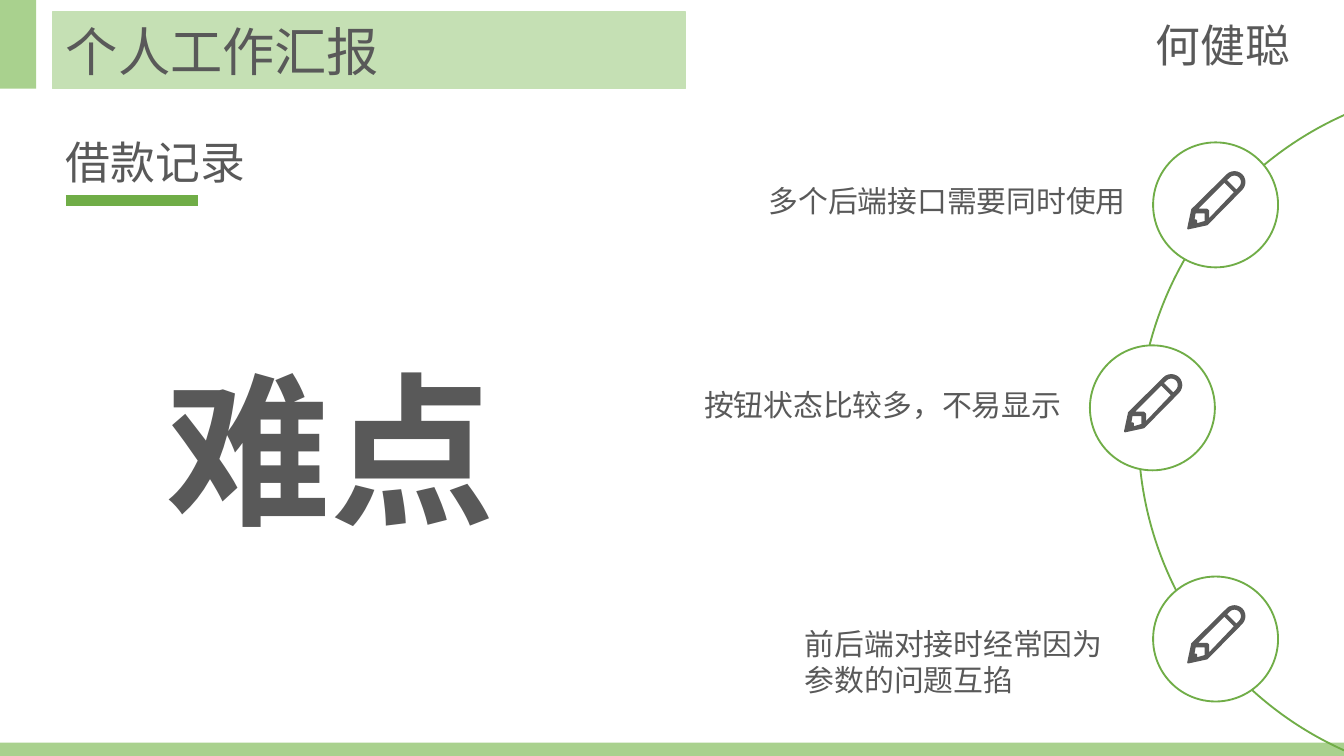
from math import cos, radians, sin

from lxml.etree import SubElement
from pptx import Presentation
from pptx.dml.color import RGBColor
from pptx.enum.lang import MSO_LANGUAGE_ID as Language
from pptx.enum.shapes import MSO_CONNECTOR as Connector, MSO_SHAPE as Shape
from pptx.enum.text import MSO_ANCHOR as Anchor, MSO_AUTO_SIZE as AutoSize, PP_ALIGN as Align
from pptx.oxml.ns import qn
from pptx.util import Inches, Pt

WIDTH = 10
HEIGHT = WIDTH * 9 / 16
GREEN = RGBColor(0x70, 0xAD, 0x47)
MID_GREEN = RGBColor(0xA9, 0xD1, 0x8E)
PALE_GREEN = RGBColor(0xC5, 0xE0, 0xB4)
WHITE = RGBColor(0xFF, 0xFF, 0xFF)
GREY = RGBColor(0x59, 0x59, 0x59)

TITLE = "个人工作汇报"
LABELS = [
    ("借款记录", (0.39, 0.95, 7.73, 0.5), dict(size=24, font="Arial")),
    ("何健聪", (8.5, 0.08, 1.21, 0.5), dict(size=24, font="Arial")),
    ("难点", (1.14, 1.81, 4.1, 2.1), dict(size=88, bold=True, spacing=1.5)),
]
DIFFICULTIES = [
    ("多个后端接口需要同时使用", (5.62, 1.31, 2.95, 0.37), (8.58, 1.06)),
    ("按钮状态比较多，不易显示", (5.14, 2.83, 2.98, 0.37), (8.11, 2.57)),
    ("前后端对接时经常因为参数的问题互掐", (5.89, 4.61, 2.61, 0.64), (8.58, 4.29)),
]
BANDS = [(0, 0, 0.27, 0.66), (0, HEIGHT - 0.1, WIDTH, 0.1)]
ARC = (8.47, 0.63, 5.18, 5.18)
NODE_SIZE = 0.93
PENCIL_OFFSET = (0.26, 0.22)


def cap(radius):
    """Return the round end of the pencil in thousandths of an inch."""
    angles = [radians(angle) for angle in range(225, 406, 15)]
    return [(345 + radius * cos(a), 75 + radius * sin(a)) for a in angles]


PENCIL = [
    [(30, 280), (0, 420), (140, 390), *reversed(cap(75))],
    [(360, 140), (280, 60), *cap(55)],
    [(150, 360), (150, 290), (140, 280), (60, 280), (270, 70), (350, 150)],
    [(130, 370), (60, 390), (60, 360), (40, 360), (50, 300), (130, 300)],
]


def box(bounds):
    """Convert bounds in inches to lengths."""
    return [Inches(value) for value in bounds]


def style(shape, fill=None, line=None, width=1):
    """Set fill and outline, and drop the shadow."""
    shape.shadow.inherit = False
    if fill is None:
        shape.fill.background()
    else:
        shape.fill.solid()
        shape.fill.fore_color.rgb = fill
    if line is None:
        shape.line.fill.background()
    else:
        shape.line.color.rgb = line
        shape.line.width = Pt(width)


def write(shape, text, size=16, font="Calibri", bold=False, spacing=None, anchor=Anchor.TOP):
    """Write one formatted paragraph into a shape."""
    frame = shape.text_frame
    frame.word_wrap = True
    frame.auto_size = AutoSize.NONE
    frame.vertical_anchor = anchor
    paragraph = frame.paragraphs[0]
    paragraph.alignment = Align.LEFT
    if spacing:
        paragraph.line_spacing = spacing
    run = paragraph.add_run()
    run.text = text
    run.font.size = Pt(size)
    run.font.name = font
    run.font.bold = bold
    run.font.color.rgb = GREY
    run.font.language_id = Language.SIMPLIFIED_CHINESE


def add_node(slide, left, top):
    """Draw a circle with a pencil inside as one group."""
    shapes = slide.shapes.add_group_shape().shapes
    circle = shapes.add_shape(Shape.OVAL, *box((left, top, NODE_SIZE, NODE_SIZE)))
    style(circle, WHITE, GREEN)
    outline, *details = PENCIL
    builder = shapes.build_freeform(*outline[0], scale=Inches(1) / 1000)
    builder.add_line_segments(outline[1:], close=True)
    for contour in details:
        builder.move_to(*contour[0])
        builder.add_line_segments(contour[1:], close=True)
    origin = box((left + PENCIL_OFFSET[0], top + PENCIL_OFFSET[1]))
    style(builder.convert_to_shape(*origin), GREY, GREY)


def main():
    """Build the slide and save it."""
    presentation = Presentation()
    presentation.slide_width, presentation.slide_height = box((WIDTH, HEIGHT))
    slide = presentation.slides.add_slide(presentation.slide_layouts[5])
    shapes = slide.shapes

    title = shapes.title
    title.left, title.top, title.width, title.height = box((0.39, 0.09, 4.71, 0.57))
    title.fill.solid()
    title.fill.fore_color.rgb = PALE_GREEN
    title.line.color.rgb = PALE_GREEN
    title.line.width = Pt(0.75)
    write(title, TITLE, size=28, font="Noto Sans CJK SC", anchor=Anchor.MIDDLE)

    for bounds in BANDS:
        style(shapes.add_shape(Shape.RECTANGLE, *box(bounds)), MID_GREEN)
    style(shapes.add_shape(Shape.OVAL, *box(ARC)), line=GREEN)

    for text, bounds, text_format in LABELS:
        write(shapes.add_textbox(*box(bounds)), text, **text_format)

    underline = shapes.add_connector(Connector.STRAIGHT, *box((0.49, 1.49, 1.47, 1.49)))
    underline.line.color.rgb = GREEN
    underline.line.width = Pt(6)
    SubElement(underline.element.spPr, qn("a:effectLst"))

    for text, bounds, corner in DIFFICULTIES:
        add_node(slide, *corner)
        write(shapes.add_textbox(*box(bounds)), text)

    presentation.save("out.pptx")


if __name__ == "__main__":
    main()
